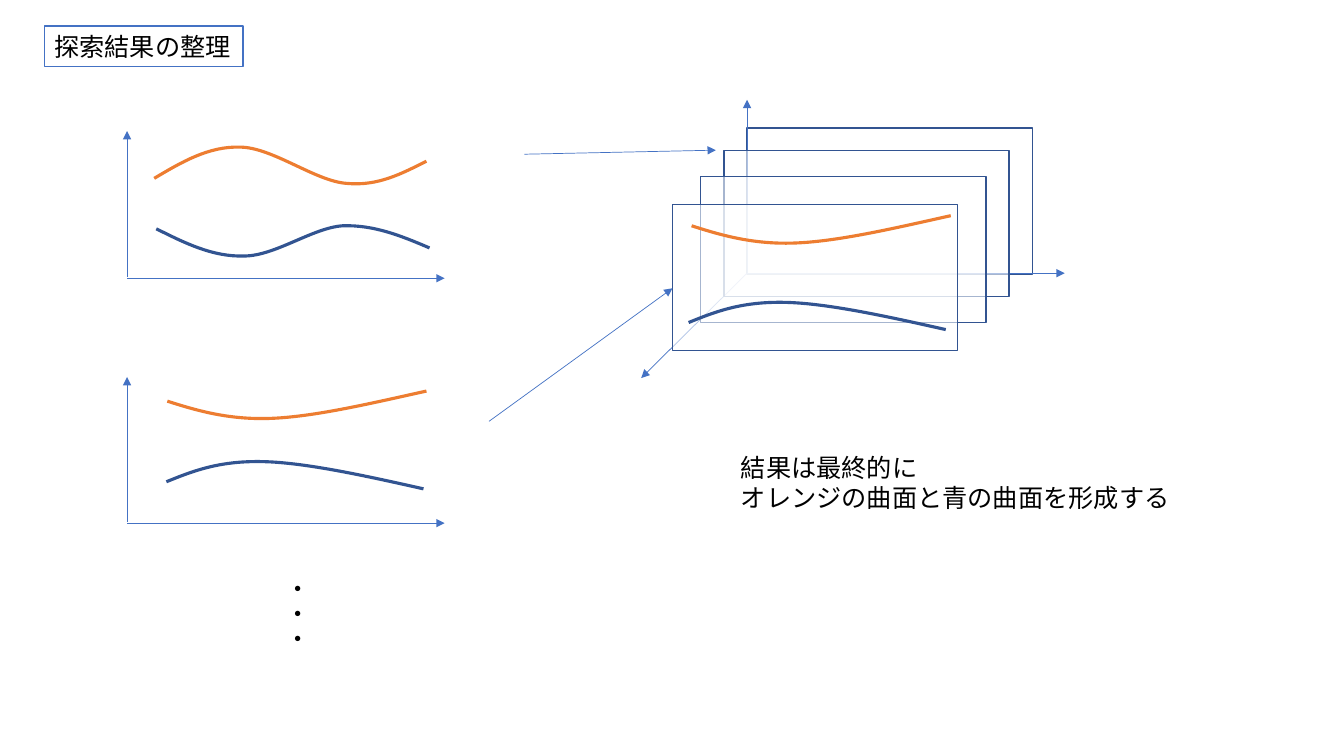
from pptx import Presentation
from pptx.dml.color import RGBColor
from pptx.enum.shapes import MSO_CONNECTOR as CONN, MSO_SHAPE as SHAPE
from pptx.enum.text import MSO_AUTO_SIZE as AUTO, PP_ALIGN as ALIGN
from pptx.oxml.ns import qn
from pptx.util import Inches, Pt
from lxml.etree import SubElement

FONT = "Noto Sans CJK JP"
BLACK = RGBColor(0x00, 0x00, 0x00)
WHITE = RGBColor(0xFF, 0xFF, 0xFF)
BLUE = RGBColor(0x44, 0x72, 0xC4)
NAVY = RGBColor(0x32, 0x54, 0x91)
ORANGE = RGBColor(0xED, 0x7D, 0x31)

# Bezier points, three per segment, in inches from the start of each curve
ORANGE_WAVE = [(0.27, -0.16), (0.54, -0.32), (0.85, -0.31),
               (1.17, -0.31), (1.6, 0.03), (1.91, 0.05),
               (2.22, 0.08), (2.46, -0.05), (2.7, -0.17)]
BLUE_WAVE = [(0.28, 0.14), (0.56, 0.28), (0.87, 0.27),
             (1.18, 0.27), (1.55, -0.01), (1.85, -0.03),
             (2.16, -0.04), (2.43, 0.07), (2.71, 0.19)]
ORANGE_SAG = [(0.31, 0.1), (0.63, 0.19), (1.05, 0.17),
              (1.48, 0.15), (2.03, 0.02), (2.57, -0.1)]
BLUE_ARCH = [(0.27, -0.11), (0.53, -0.21), (0.96, -0.2),
             (1.38, -0.19), (1.97, -0.06), (2.55, 0.07)]


def add_arrow(s, x1, y1, x2, y2):
    c = s.shapes.add_connector(CONN.STRAIGHT, Inches(x1), Inches(y1),
                               Inches(x2), Inches(y2))
    c.line.color.rgb = BLUE
    c.line.width = Pt(0.5)
    SubElement(c.line._get_or_add_ln(), qn("a:tailEnd"), type="triangle")
    SubElement(c._element.spPr, qn("a:effectLst"))


def add_curve(s, x, y, controls, color):
    points = [(Inches(x + dx), Inches(y + dy)) for dx, dy in controls]
    fb = s.shapes.build_freeform(Inches(x), Inches(y))
    fb.add_line_segments(points[2::3], close=False)
    sp = fb.convert_to_shape()
    sp.shadow.inherit = False
    sp.fill.background()
    sp.line.color.rgb = color
    sp.line.width = Pt(2.25)
    # Turn each straight segment into a Bezier segment
    outline = next(sp._element.iter(qn("a:moveTo"))).getparent()
    for line in outline.findall(qn("a:lnTo")):
        outline.remove(line)
    for i in range(0, len(points), 3):
        bezier = SubElement(outline, qn("a:cubicBezTo"))
        for px, py in points[i:i + 3]:
            SubElement(bezier, qn("a:pt"), x=str(px - sp.left),
                       y=str(py - sp.top))


def add_rect(s, x, y, w, h, line_color):
    sp = s.shapes.add_shape(SHAPE.RECTANGLE, Inches(x), Inches(y),
                            Inches(w), Inches(h))
    sp.shadow.inherit = False
    sp.fill.solid()
    sp.fill.fore_color.rgb = WHITE
    sp.line.color.rgb = line_color
    sp.line.width = Pt(1)
    return sp


def set_text(sp, text):
    tf = sp.text_frame
    tf.text = text
    tf.word_wrap = False
    tf.auto_size = AUTO.SHAPE_TO_FIT_TEXT
    for p in tf.paragraphs:
        p.alignment = ALIGN.LEFT
        for r in p.runs:
            r.font.size = Pt(18)
            r.font.name = FONT
            r.font.color.rgb = BLACK
            SubElement(r.font._element, qn("a:ea"), typeface=FONT)


def add_text(s, x, y, w, h, text):
    sp = s.shapes.add_textbox(Inches(x), Inches(y), Inches(w), Inches(h))
    set_text(sp, text)
    return sp


def add_plot(s, x, y, w, h, curves):
    """Two axes meeting at the lower left of the box, with curves inside."""
    add_arrow(s, x, y + h, x + w, y + h)
    add_arrow(s, x, y + h - 0.01, x, y)
    for dx, dy, controls, color in curves:
        add_curve(s, x + dx, y + dy, controls, color)


def add_panel(s, x, y):
    sp = add_rect(s, x, y, 2.83, 1.45, NAVY)
    rgb = sp.fill._xPr.find(qn("a:solidFill"))[0]
    SubElement(rgb, qn("a:alpha"), val="57000")


def add_stack(s, x, y):
    """Panels lined up along the depth axis; the box starts at x, y."""
    ox, oy = x + 1.05, y + 1.72
    add_panel(s, ox, y + 0.28)
    # Depth, width and height axes
    for dx, dy in [(-1.05, 1.04), (3.15, 0), (0, -1.72)]:
        add_arrow(s, ox, oy, ox + dx, oy + dy)
    # Nearer panels, then the curves on the front one
    for dx, dy in [(0.82, 0.5), (0.59, 0.76), (0.31, 1.04)]:
        add_panel(s, x + dx, y + dy)
    add_curve(s, x + 0.5, y + 1.25, ORANGE_SAG, ORANGE)
    add_curve(s, x + 0.47, y + 2.21, BLUE_ARCH, NAVY)


def main():
    prs = Presentation()
    prs.slide_width, prs.slide_height = Inches(13.33), Inches(7.5)
    s = prs.slides.add_slide(prs.slide_layouts[6])

    # Title
    set_text(add_rect(s, 0.44, 0.26, 1.97, 0.4, BLUE), "探索結果の整理")

    # Search results
    add_plot(s, 1.26, 1.3, 3.15, 1.46, [(0.27, 0.47, ORANGE_WAVE, ORANGE),
                                        (0.29, 0.97, BLUE_WAVE, NAVY)])
    add_plot(s, 1.26, 3.74, 3.15, 1.45, [(0.4, 0.24, ORANGE_SAG, ORANGE),
                                         (0.39, 1.04, BLUE_ARCH, NAVY)])
    dots = add_text(s, 2.65, 5.62, 0.5, 0.86, "・・・")
    dots.text_frame._txBody.bodyPr.set("vert", "eaVert")

    # Stacked results, with arrows from the plots
    add_stack(s, 6.36, 0.99)
    add_arrow(s, 5.2, 1.53, 7.1, 1.49)
    add_arrow(s, 4.85, 4.18, 6.67, 2.86)

    # Conclusion
    add_text(s, 7.25, 4.44, 4.49, 0.71,
             "結果は最終的に\nオレンジの曲面と青の曲面を形成する")

    prs.save("out.pptx")


if __name__ == "__main__":
    main()
